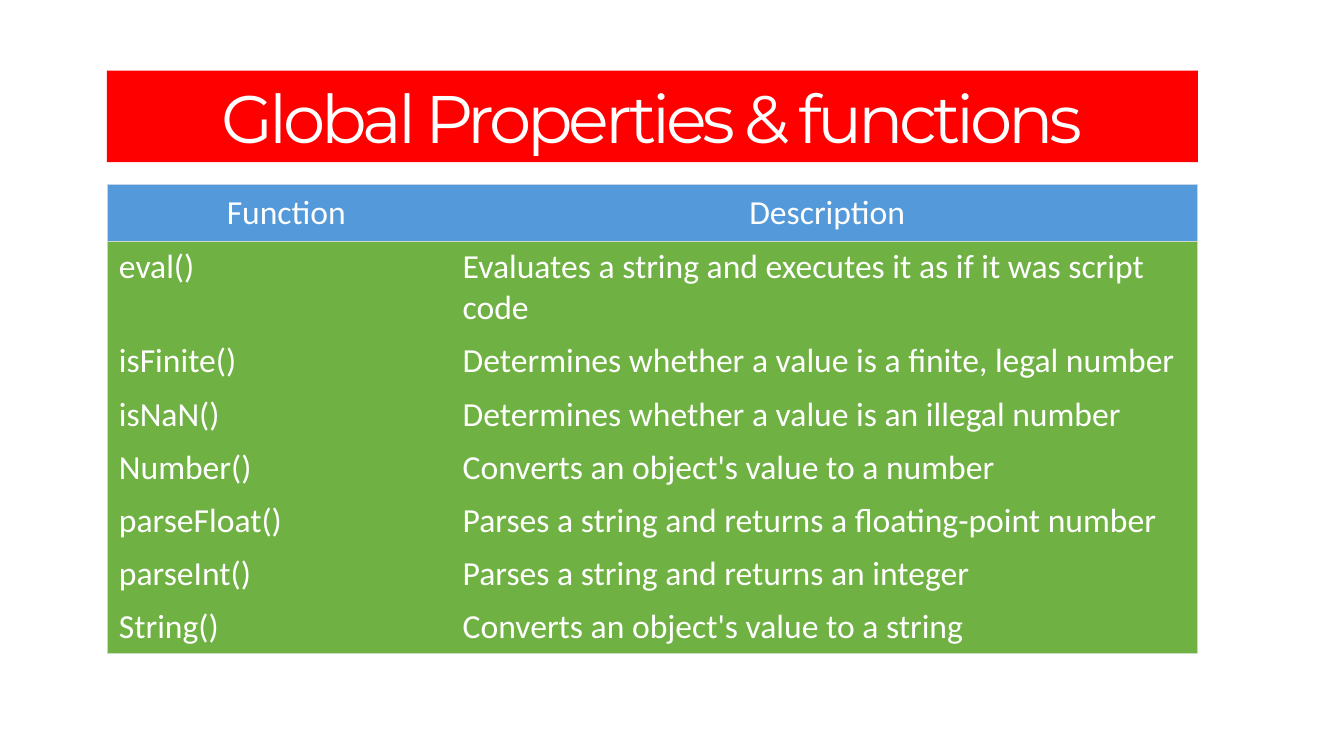
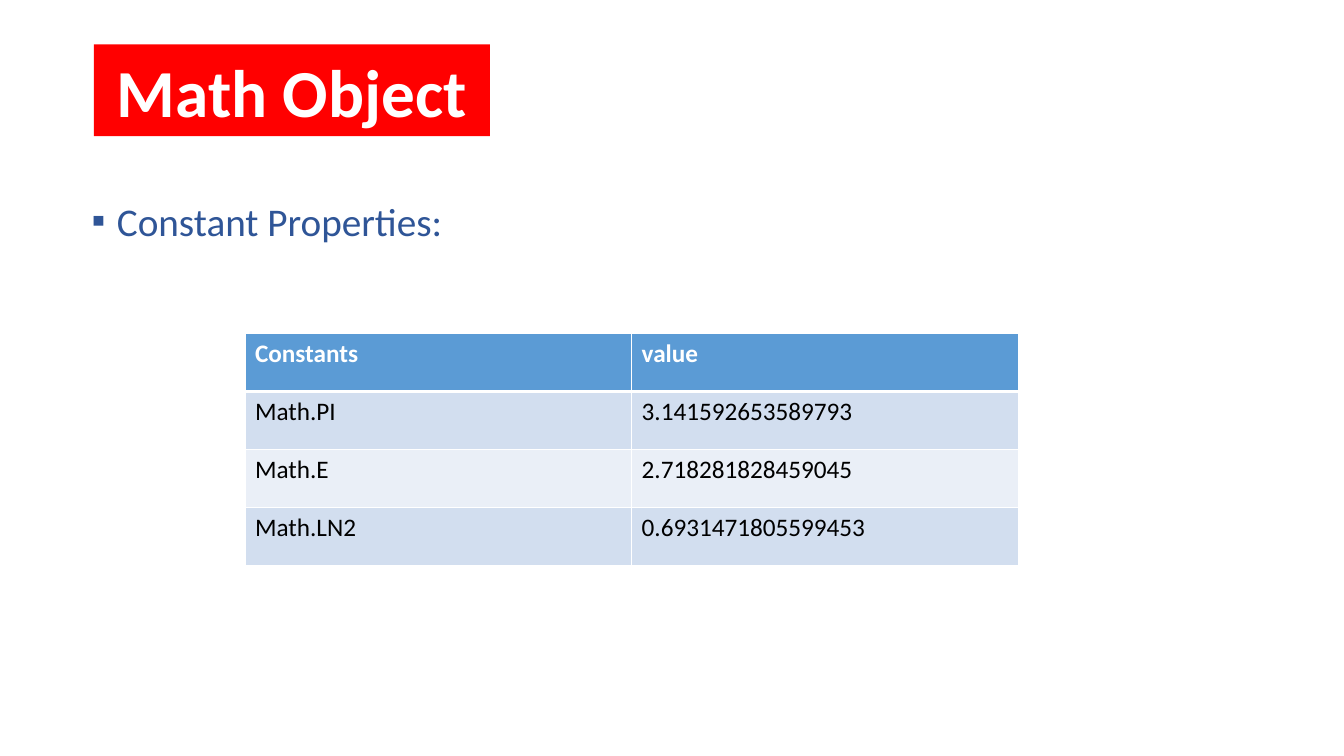
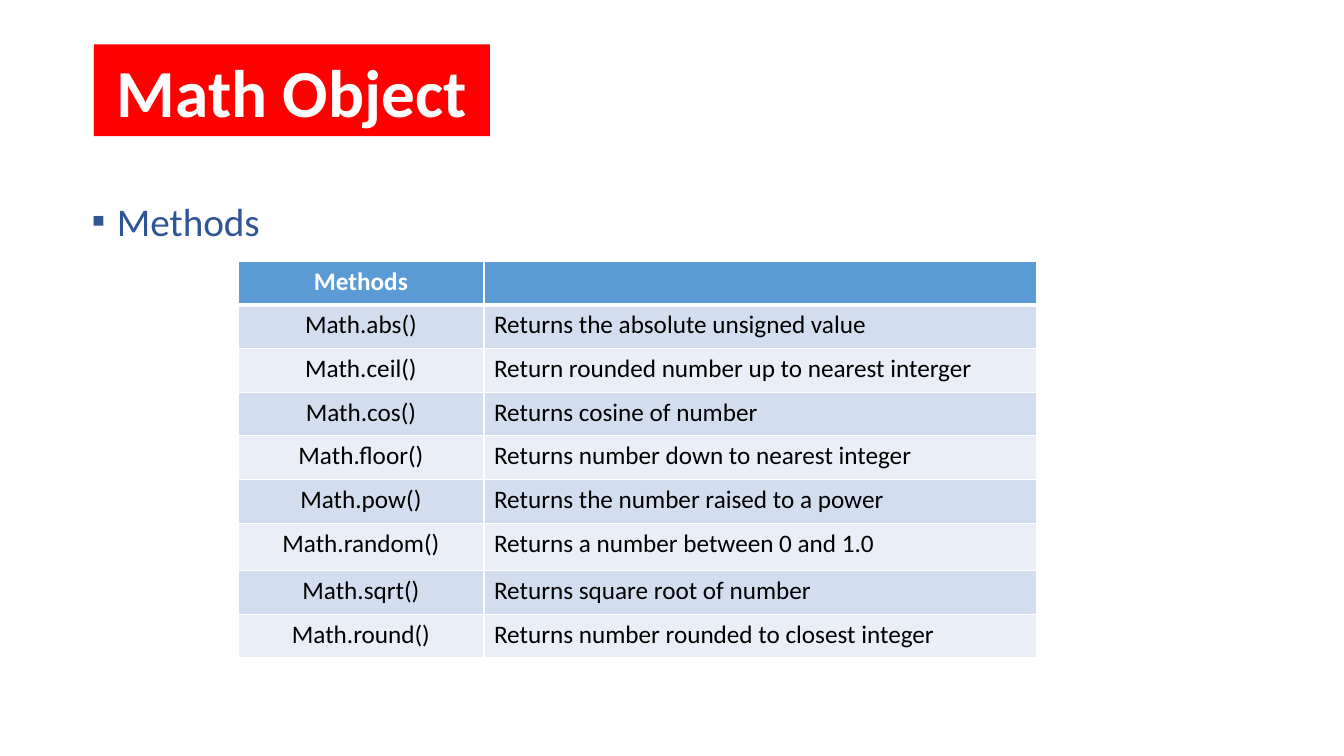
from lxml import etree
from pptx import Presentation
from pptx.dml.color import RGBColor
from pptx.enum.text import MSO_ANCHOR, MSO_AUTO_SIZE, PP_ALIGN
from pptx.oxml.ns import qn
from pptx.util import Inches, Pt

CENTER, LEFT = PP_ALIGN.CENTER, PP_ALIGN.LEFT
MIDDLE = MSO_ANCHOR.MIDDLE
NO_AUTOFIT = MSO_AUTO_SIZE.NONE

# Shared look
FONT, TITLE_FONT = "Calibri", "Montserrat"
WHITE, BLACK, RED, NAVY = "FFFFFF", "000000", "FF0000", "2F5597"
HEADER_BLUE, BAND_DARK, BAND_LIGHT = "5B9BD5", "D2DEEF", "EAEFF7"
FUNCTION_BLUE, FUNCTION_GREEN = "5499DA", "70B144"
BLUE_EDGE, GREEN_EDGE = "C4D5EB", "C9DBC1"
PLAIN_TABLE_STYLE = "{2D5ABB26-0587-4C30-8999-92F81FD0307C}"
TITLE_ONLY, TITLE_AND_BODY = 5, 1

MATH_TITLE_BOX = (0.93, 0.44, 3.93, 0.91)
MATH_BODY_BOX = (0.81, 1.67, 12.11, 5.38)

FUNCTIONS = [
    ("eval()", "Evaluates a string and executes it as if it was script code"),
    ("isFinite()", "Determines whether a value is a finite, legal number"),
    ("isNaN()", "Determines whether a value is an illegal number"),
    ("Number()", "Converts an object's value to a number"),
    ("parseFloat()", "Parses a string and returns a floating-point number"),
    ("parseInt()", "Parses a string and returns an integer"),
    ("String()", "Converts an object's value to a string"),
]
CONSTANTS = [
    ("Constants", "value"),
    ("Math.PI", "3.141592653589793"),
    ("Math.E", "2.718281828459045"),
    ("Math.LN2", "0.6931471805599453"),
]
METHODS = [
    ("Methods", ""),
    ("Math.abs()", "Returns the absolute unsigned value"),
    ("Math.ceil()", "Return rounded number up to nearest interger"),
    ("Math.cos()", "Returns cosine of number"),
    ("Math.floor()", "Returns number down to nearest integer"),
    ("Math.pow()", "Returns the number raised to a power"),
    ("Math.random()", "Returns a number between 0 and 1.0"),
    ("Math.sqrt()", "Returns square root of number"),
    ("Math.round()", "Returns number rounded to closest integer"),
]


def color(hex_value):
    return RGBColor.from_string(hex_value)


def place(shape, box):
    shape.left, shape.top, shape.width, shape.height = map(Inches, box)


def fill(item, hex_value):
    item.fill.solid()
    item.fill.fore_color.rgb = color(hex_value)


def format_runs(paragraph, size, hex_value, bold=False, font=FONT):
    for run in paragraph.runs:
        run.font.name = font
        run.font.size = Pt(size)
        run.font.bold = bold
        run.font.color.rgb = color(hex_value)


def add_title(slide, box, text, bold=False, font=FONT, spacing=0):
    """Red band with white centred text; spacing is in points."""
    title = slide.shapes.title
    place(title, box)
    fill(title, RED)
    frame = title.text_frame
    frame.text = text
    frame.word_wrap = True
    frame.auto_size = NO_AUTOFIT
    frame.vertical_anchor = MIDDLE
    paragraph = frame.paragraphs[0]
    paragraph.alignment = CENTER
    format_runs(paragraph, 48, WHITE, bold, font)
    if spacing:
        for run in paragraph.runs:
            run.font._element.set("spc", str(spacing * 100))


def add_bullet_body(slide, box, text):
    body = slide.placeholders[1]
    place(body, box)
    frame = body.text_frame
    frame.text = text
    frame.auto_size = NO_AUTOFIT
    paragraph = frame.paragraphs[0]
    paragraph.line_spacing = 1.5
    paragraph.space_before = Pt(0)
    properties = paragraph._p.get_or_add_pPr()
    properties.set("marL", str(Inches(0.25)))
    properties.set("indent", str(-Inches(0.25)))
    etree.SubElement(properties, qn("a:buChar")).set("char", "▪")
    format_runs(paragraph, 28, NAVY)


def set_borders(cell, borders):
    """Draw the given sides: {"L": (colour, points), ...}."""
    properties = cell._tc.get_or_add_tcPr()
    for side in "LRTB":
        if side in borders:
            hex_value, points = borders[side]
            line = etree.SubElement(properties, qn("a:ln" + side), w=str(Pt(points)))
            solid = etree.SubElement(line, qn("a:solidFill"))
            etree.SubElement(solid, qn("a:srgbClr"), val=hex_value)


def add_plain_table(slide, box, rows, column_widths, row_heights):
    """Unstyled table holding the text; returns the table."""
    frame = slide.shapes.add_table(len(rows), len(column_widths), *map(Inches, box))
    table = frame.table
    table._tbl.tblPr.find(qn("a:tableStyleId")).text = PLAIN_TABLE_STYLE
    table.horz_banding = False
    for column, width in zip(table.columns, column_widths):
        column.width = Inches(width)
    for row, height, texts in zip(table.rows, row_heights, rows):
        row.height = Inches(height)
        for cell, text in zip(row.cells, texts):
            cell.text_frame.text = text
    return table


def add_framed_table(slide, box, rows, row_heights, background, edge, margin,
                     first_margin, alignment=LEFT):
    """One-colour table with a thin line around the outside only."""
    widths = (3.47, box[2] - 3.47)
    table = add_plain_table(slide, box, rows, widths, row_heights)
    for row_index, row in enumerate(table.rows):
        for column_index, cell in enumerate(row.cells):
            sides = "R" if column_index else "L"
            sides += "T" if row_index == 0 else ""
            sides += "B" if row_index == len(rows) - 1 else ""
            set_borders(cell, {side: (edge, 0.5) for side in sides})
            fill(cell, background)
            cell.margin_left = Inches(margin if column_index else first_margin)
            cell.margin_right = cell.margin_top = cell.margin_bottom = Inches(margin)
            paragraph = cell.text_frame.paragraphs[0]
            paragraph.alignment = alignment
            format_runs(paragraph, 24, WHITE)


def add_banded_table(slide, box, rows, column_widths, row_heights, first_alignment=LEFT):
    """Blue header over rows of alternating tint, with white rules."""
    table = add_plain_table(slide, box, rows, column_widths, row_heights)
    table.first_row = True
    for row_index, row in enumerate(table.rows):
        header = row_index == 0
        background = HEADER_BLUE if header else (BAND_LIGHT, BAND_DARK)[row_index % 2]
        borders = {side: (WHITE, 1) for side in "LRTB"}
        if row_index < 2:
            borders["B" if header else "T"] = (WHITE, 3)
        for column_index, cell in enumerate(row.cells):
            set_borders(cell, borders)
            fill(cell, background)
            paragraph = cell.text_frame.paragraphs[0]
            paragraph.alignment = LEFT if column_index else first_alignment
            format_runs(paragraph, 18, WHITE if header else BLACK, header)


def add_functions_slide(presentation):
    slide = presentation.slides.add_slide(presentation.slide_layouts[TITLE_ONLY])
    left, width = 1.06, 10.82
    add_title(slide, (left, 0.7, width, 0.91), "Global Properties & functions",
              font=TITLE_FONT, spacing=-3)
    add_framed_table(slide, (left, 1.83, width, 0.57), [("Function", "Description")],
                     [0.57], FUNCTION_BLUE, BLUE_EDGE, 0.08, 0.17, CENTER)
    # The first description takes two lines
    add_framed_table(slide, (left, 2.39, width, 4.07), FUNCTIONS, [0.93] + [0.52] * 6,
                     FUNCTION_GREEN, GREEN_EDGE, 0.06, 0.12)


def add_math_slide(presentation, heading):
    slide = presentation.slides.add_slide(presentation.slide_layouts[TITLE_AND_BODY])
    add_title(slide, MATH_TITLE_BOX, "Math Object", bold=True)
    add_bullet_body(slide, MATH_BODY_BOX, heading)
    return slide


def main():
    presentation = Presentation()
    presentation.slide_width = Inches(13.33)
    presentation.slide_height = Inches(7.5)

    add_functions_slide(presentation)

    constants_slide = add_math_slide(presentation, "Constant Properties:")
    box = (2.43, 3.31, 7.67, 2.3)
    add_banded_table(constants_slide, box, CONSTANTS, [box[2] / 2] * 2,
                     [box[3] / len(CONSTANTS)] * len(CONSTANTS))

    methods_slide = add_math_slide(presentation, "Methods")
    box = (2.36, 2.59, 7.92, 3.94)
    tall_row = 0.47
    heights = [(box[3] - tall_row) / (len(METHODS) - 1)] * len(METHODS)
    heights[6] = tall_row
    add_banded_table(methods_slide, box, METHODS, (2.44, 5.48), heights, CENTER)

    presentation.save("out.pptx")


if __name__ == "__main__":
    main()
